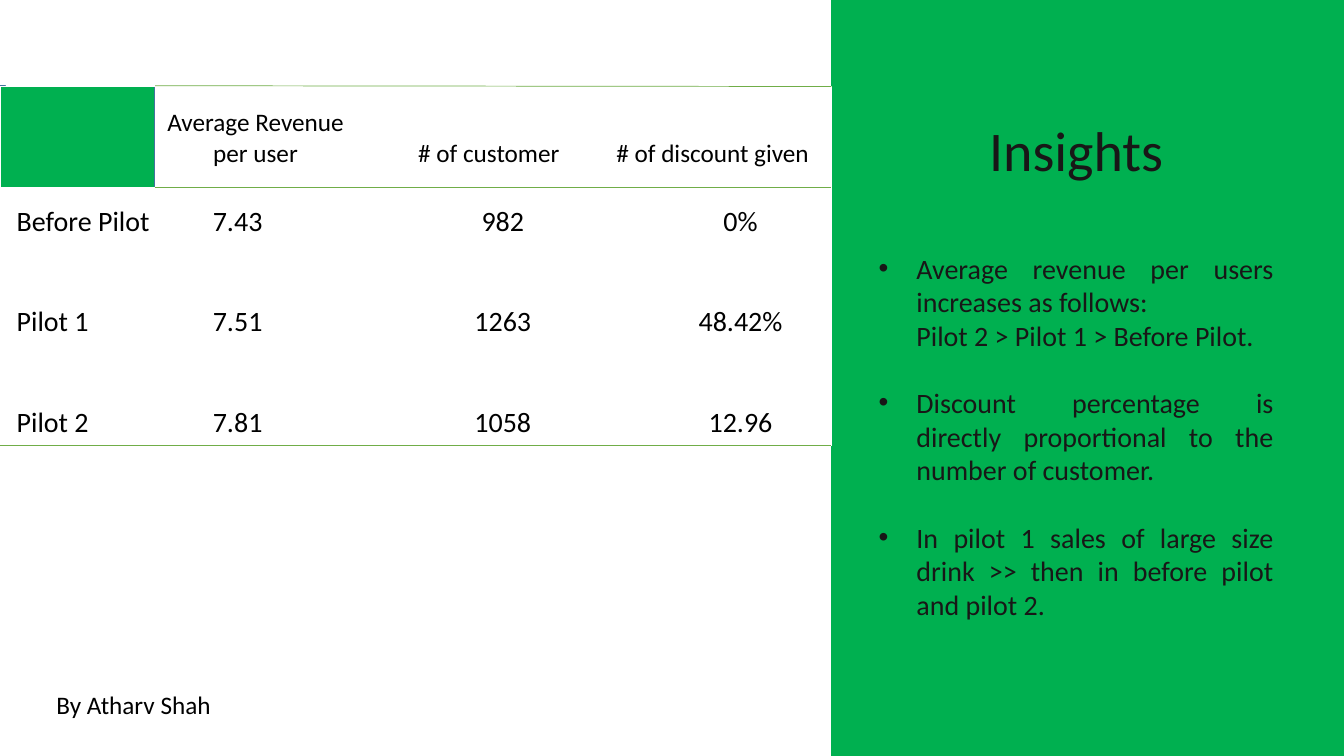
import typing

import lxml.etree
import pptx
import pptx.dml.color
import pptx.enum.shapes
import pptx.enum.text
import pptx.oxml.ns
import pptx.util

Cm = pptx.util.Cm
Pt = pptx.util.Pt
RGBColor = pptx.dml.color.RGBColor
Align = pptx.enum.text.PP_ALIGN
Anchor = pptx.enum.text.MSO_ANCHOR

GREEN = RGBColor(0x00, 0xB0, 0x50)
BLUE = RGBColor(0x5B, 0x9B, 0xD5)
DARK_BLUE = RGBColor(0x43, 0x73, 0x9E)
RULE_GREEN = RGBColor(0x70, 0xAD, 0x47)
BLACK = RGBColor(0, 0, 0)
INSIGHT_TEXT = RGBColor(0x18, 0x17, 0x17)
FONT = "Calibri"

SPLIT = 20.95  # where the table ends and the green panel starts
TABLE_TOP = 2.18
LABEL_WIDTH = 3.91
ROW_HEIGHTS = (2.54, 2.54, 2.54, 1.42)
HEADER_BOTTOM = TABLE_TOP + ROW_HEIGHTS[0]
TABLE_BOTTOM = TABLE_TOP + sum(ROW_HEIGHTS)


class Block(typing.NamedTuple):
    """A filled rectangle, in centimetres."""
    left: float
    top: float
    width: float
    height: float
    fill: RGBColor
    line: RGBColor


class Rule(typing.NamedTuple):
    """A thin line of the table, in centimetres."""
    left: float
    start_top: float
    end_top: float


class Column(typing.NamedTuple):
    """A table column; shifts are extra left (+) or right (-) margins."""
    width: float
    header: str
    header_shift: float
    values: tuple[str, ...]
    value_shift: float
    alignment: Align


class Insight(typing.NamedTuple):
    """One paragraph of the insights list."""
    text: str
    bulleted: bool
    gap_before: int


PANEL = Block(SPLIT, 0, 12.92, 19.05, GREEN, GREEN)
HEADER_BLOCKS = (
    Block(0, 2.16, 0.13, 0.13, BLUE, DARK_BLUE),
    Block(0, TABLE_TOP, LABEL_WIDTH, ROW_HEIGHTS[0], GREEN, DARK_BLUE),
)
RULES = (
    Rule(LABEL_WIDTH, 2.16, TABLE_TOP),
    Rule(LABEL_WIDTH, HEADER_BOTTOM, HEADER_BOTTOM),
    Rule(0, TABLE_BOTTOM, TABLE_BOTTOM),
)
COLUMNS = (
    Column(LABEL_WIDTH, "", 0, ("Before Pilot", "Pilot 1", "Pilot 2"), 0.42, Align.LEFT),
    Column(5.06, "Average Revenue\nper user", 0, ("7.43", "7.51", "7.81"), -0.9, Align.CENTER),
    Column(6.27, "# of customer", 0.43, ("982", "1263", "1058"), 1.14, Align.CENTER),
    Column(5.71, "# of discount given", -0.27, ("0%", "48.42%", "12.96"), 1.14, Align.CENTER),
)
INSIGHTS = (
    Insight("Average revenue per users increases as follows:", True, 0),
    Insight("Pilot 2 > Pilot 1 > Before Pilot.", False, 0),
    Insight("Discount percentage is\vdirectly proportional to the number of customer.", True, 24),
    Insight("In pilot 1 sales of large size\vdrink >> then in before pilot and pilot 2.", True, 24),
)


def style_paragraph(paragraph, size: float, color: RGBColor, alignment: Align) -> None:
    """Set the font, alignment and spacing of a paragraph."""
    paragraph.font.name = FONT
    paragraph.font.size = Pt(size)
    paragraph.font.color.rgb = color
    paragraph.alignment = alignment
    paragraph.line_spacing = 1.0
    paragraph.space_before = Pt(0)


def place(shape, left: float, top: float, width: float, height: float) -> None:
    """Move and size a shape, in centimetres."""
    shape.left, shape.top = Cm(left), Cm(top)
    shape.width, shape.height = Cm(width), Cm(height)


def add_block(slide, block: Block):
    """Draw a filled rectangle and return it."""
    shape = slide.shapes.add_shape(
        pptx.enum.shapes.MSO_SHAPE.RECTANGLE,
        Cm(block.left), Cm(block.top), Cm(block.width), Cm(block.height))
    shape.shadow.inherit = False
    shape.fill.solid()
    shape.fill.fore_color.rgb = block.fill
    shape.line.color.rgb = block.line
    shape.line.width = Pt(1)
    return shape


def add_rule(slide, rule: Rule) -> None:
    """Draw a thin line that ends at the green panel."""
    connector = slide.shapes.add_connector(
        pptx.enum.shapes.MSO_CONNECTOR.STRAIGHT,
        Cm(rule.left), Cm(rule.start_top), Cm(SPLIT), Cm(rule.end_top))
    connector.line.color.rgb = RULE_GREEN
    connector.line.width = Pt(0.5)
    properties = connector.element.find(pptx.oxml.ns.qn("p:spPr"))
    lxml.etree.SubElement(properties, pptx.oxml.ns.qn("a:effectLst"))


def fill_cell(cell, text: str, size: float, shift: float, alignment: Align) -> None:
    """Write one transparent table cell."""
    cell.fill.background()
    cell.text = text
    cell.margin_left, cell.margin_right = Cm(max(shift, 0)), Cm(max(-shift, 0))
    cell.margin_top, cell.margin_bottom = Cm(0.43), Cm(0)
    for paragraph in cell.text_frame.paragraphs:
        style_paragraph(paragraph, size, BLACK, alignment)


def add_pilot_table(slide) -> None:
    """Add the table that compares the pilots."""
    table = slide.shapes.add_table(
        len(ROW_HEIGHTS), len(COLUMNS), Cm(0), Cm(TABLE_TOP),
        Cm(SPLIT), Cm(sum(ROW_HEIGHTS))).table
    table.first_row = table.horz_banding = False
    for row, height in zip(table.rows, ROW_HEIGHTS):
        row.height = Cm(height)
    for index, column in enumerate(COLUMNS):
        table.columns[index].width = Cm(column.width)
        header = table.cell(0, index)
        fill_cell(header, column.header, 18, column.header_shift, column.alignment)
        header.margin_bottom = Cm(0.46)
        header.vertical_anchor = Anchor.BOTTOM
        for row_index, value in enumerate(column.values, start=1):
            fill_cell(table.cell(row_index, index), value, 20,
                      column.value_shift, column.alignment)


def set_bullet(paragraph, bulleted: bool) -> None:
    """Indent a paragraph, with or without a hanging bullet."""
    properties = paragraph._p.get_or_add_pPr()
    properties.set("marL", str(Cm(0.95)))
    properties.set("indent", str(Cm(-0.95) if bulleted else 0))
    tag = "a:buChar" if bulleted else "a:buNone"
    bullet = lxml.etree.SubElement(properties, pptx.oxml.ns.qn(tag))
    if bulleted:
        bullet.set("char", "•")


def write_insights(slide) -> None:
    """Fill the title and body placeholders on the green panel."""
    title, body = slide.placeholders
    place(title, 21.89, 2.77, 10.46, 2)
    title.text_frame.text = "Insights"
    style_paragraph(title.text_frame.paragraphs[0], 40, INSIGHT_TEXT, Align.CENTER)
    place(body, 21.89, 6.2, 10.46, 10.5)
    frame = body.text_frame
    frame.text = "\n".join(insight.text for insight in INSIGHTS)
    for paragraph, insight in zip(frame.paragraphs, INSIGHTS):
        style_paragraph(paragraph, 20, INSIGHT_TEXT, Align.JUSTIFY)
        paragraph.space_before = Pt(insight.gap_before)
        set_bullet(paragraph, insight.bulleted)
    for text_frame in (title.text_frame, frame):
        text_frame.auto_size = pptx.enum.text.MSO_AUTO_SIZE.NONE


def add_author(slide) -> None:
    """Add the author line at the bottom left."""
    frame = slide.shapes.add_textbox(Cm(1.17), Cm(17.25), Cm(10.19), Cm(1.02)).text_frame
    frame.word_wrap = True
    frame.text = "By Atharv Shah"
    style_paragraph(frame.paragraphs[0], 18, BLACK, Align.LEFT)


presentation = pptx.Presentation()
presentation.slide_width, presentation.slide_height = Cm(33.87), Cm(19.05)
slide = presentation.slides.add_slide(presentation.slide_layouts[1])
panel = add_block(slide, PANEL)
panel.element.getparent().insert(2, panel.element)  # behind the placeholders
for header_block in HEADER_BLOCKS:
    add_block(slide, header_block)
add_pilot_table(slide)
for table_rule in RULES:
    add_rule(slide, table_rule)
write_insights(slide)
add_author(slide)
presentation.save("out.pptx")
